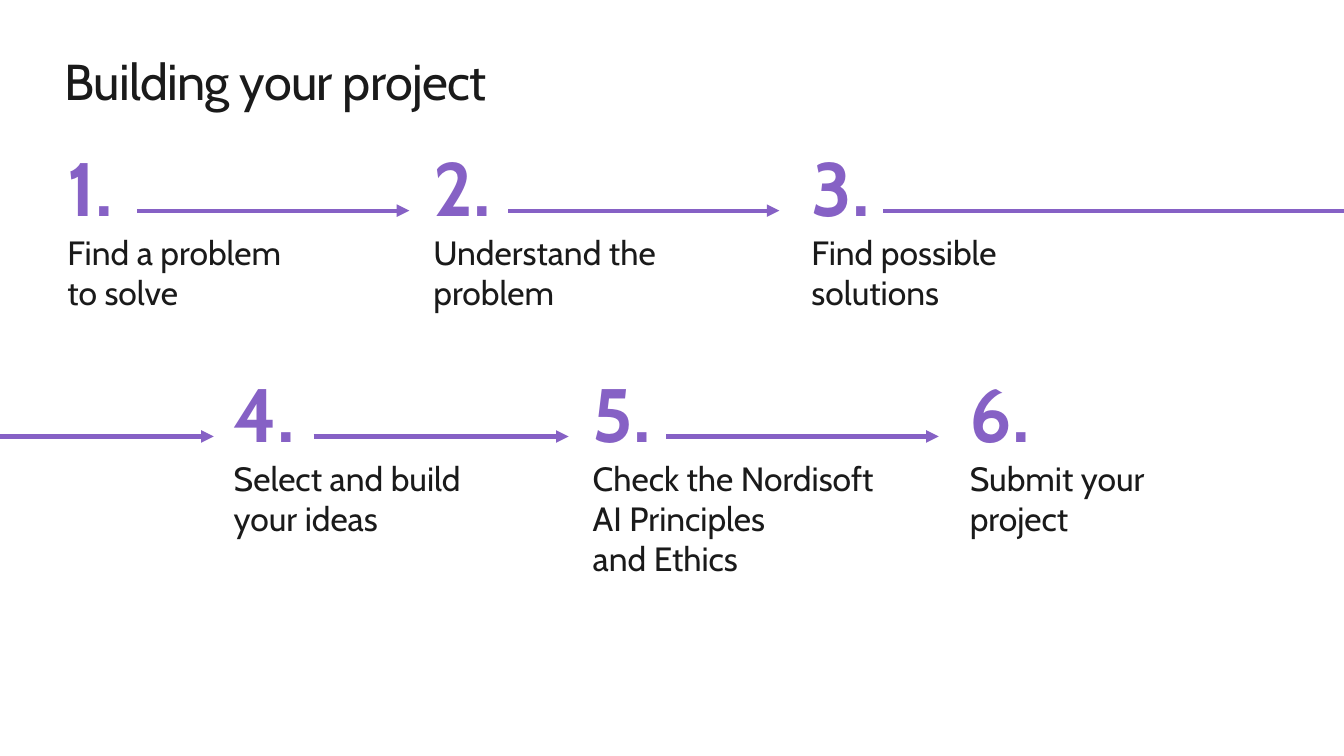
from dataclasses import dataclass

from lxml.etree import SubElement
from pptx import Presentation
from pptx.dml.color import RGBColor
from pptx.enum.shapes import MSO_CONNECTOR
from pptx.enum.text import MSO_ANCHOR, MSO_AUTO_SIZE, PP_ALIGN
from pptx.oxml.ns import qn
from pptx.util import Inches, Pt

# Content: each step has its left edge, width and lines of text
TITLE = "Building your project"
PAGE_WIDTH, PAGE_HEIGHT = 13.33, 7.5
ROWS = [
    {
        "top": 1.35,
        "steps": [
            ("1.", 0.57, 2.54, ["Find a problem", "to solve"]),
            ("2.", 4.2, 2.41, ["Understand the problem"]),
            ("3.", 7.95, 2.41, ["Find possible solutions"]),
        ],
        # start, end, has arrowhead
        "lines": [(1.36, 4.06, True), (5.04, 7.73, True), (8.76, PAGE_WIDTH, False)],
    },
    {
        "top": 3.59,
        "steps": [
            ("4.", 2.22, 2.7, ["Select and build your ideas"]),
            ("5.", 5.78, 3.15, ["Check the Nordisoft AI Principles ", "and Ethics"]),
            ("6.", 9.52, 2.41, ["Submit your project"]),
        ],
        "lines": [(0, 2.12, True), (3.11, 5.64, True), (6.61, 9.31, True)],
    },
]
LINE_DROP = 0.74
STEP_HEIGHT = 1.82


@dataclass(frozen=True)
class Theme:
    font: str = "Cabin"
    accent: RGBColor = RGBColor(0x86, 0x61, 0xC5)
    ink: RGBColor = RGBColor(0x1A, 0x1A, 0x1A)
    title_size: int = 36
    number_size: int = 54
    body_size: int = 24
    line_width: int = 3


THEME = Theme()


def add_span(para, text, size, color, bold=False):
    span = para.add_run()
    span.text = text
    span.font.name = THEME.font
    span.font.size = Pt(size)
    span.font.bold = bold
    span.font.color.rgb = color
    return span


def add_title(page):
    title = page.shapes.title
    title.left, title.top = Inches(0.64), Inches(0.5)
    title.width, title.height = Inches(12.05), Inches(0.61)
    frame = title.text_frame
    frame.margin_left = frame.margin_right = frame.margin_top = frame.margin_bottom = 0
    frame.vertical_anchor = MSO_ANCHOR.TOP
    frame.auto_size = MSO_AUTO_SIZE.SHAPE_TO_FIT_TEXT
    para = frame.paragraphs[0]
    para.alignment = PP_ALIGN.LEFT
    span = add_span(para, TITLE, THEME.title_size, THEME.ink)
    span.font._element.set("spc", "-50")


def add_step(page, top, number, left, width, lines):
    box = page.shapes.add_textbox(
        Inches(left), Inches(top), Inches(width), Inches(STEP_HEIGHT)
    )
    frame = box.text_frame
    frame.word_wrap = True
    frame.auto_size = MSO_AUTO_SIZE.SHAPE_TO_FIT_TEXT
    add_span(frame.paragraphs[0], number, THEME.number_size, THEME.accent, bold=True)
    para = frame.add_paragraph()
    for index, line in enumerate(lines):
        if index:
            para.add_line_break()
        add_span(para, line, THEME.body_size, THEME.ink)


def add_line(page, y, start, end, has_arrow):
    line = page.shapes.add_connector(
        MSO_CONNECTOR.STRAIGHT, Inches(start), Inches(y), Inches(end), Inches(y)
    )
    line.line.color.rgb = THEME.accent
    line.line.width = Pt(THEME.line_width)
    if has_arrow:
        SubElement(line.line._get_or_add_ln(), qn("a:tailEnd"), type="triangle")
    SubElement(line._element.spPr, qn("a:effectLst"))


def main():
    deck = Presentation()
    deck.slide_width, deck.slide_height = Inches(PAGE_WIDTH), Inches(PAGE_HEIGHT)
    page = deck.slides.add_slide(deck.slide_layouts.get_by_name("Title Only"))

    add_title(page)

    # Two rows of steps joined by lines
    for row in ROWS:
        for step in row["steps"]:
            add_step(page, row["top"], *step)
        for line in row["lines"]:
            add_line(page, row["top"] + LINE_DROP, *line)

    deck.save("out.pptx")


if __name__ == "__main__":
    main()
